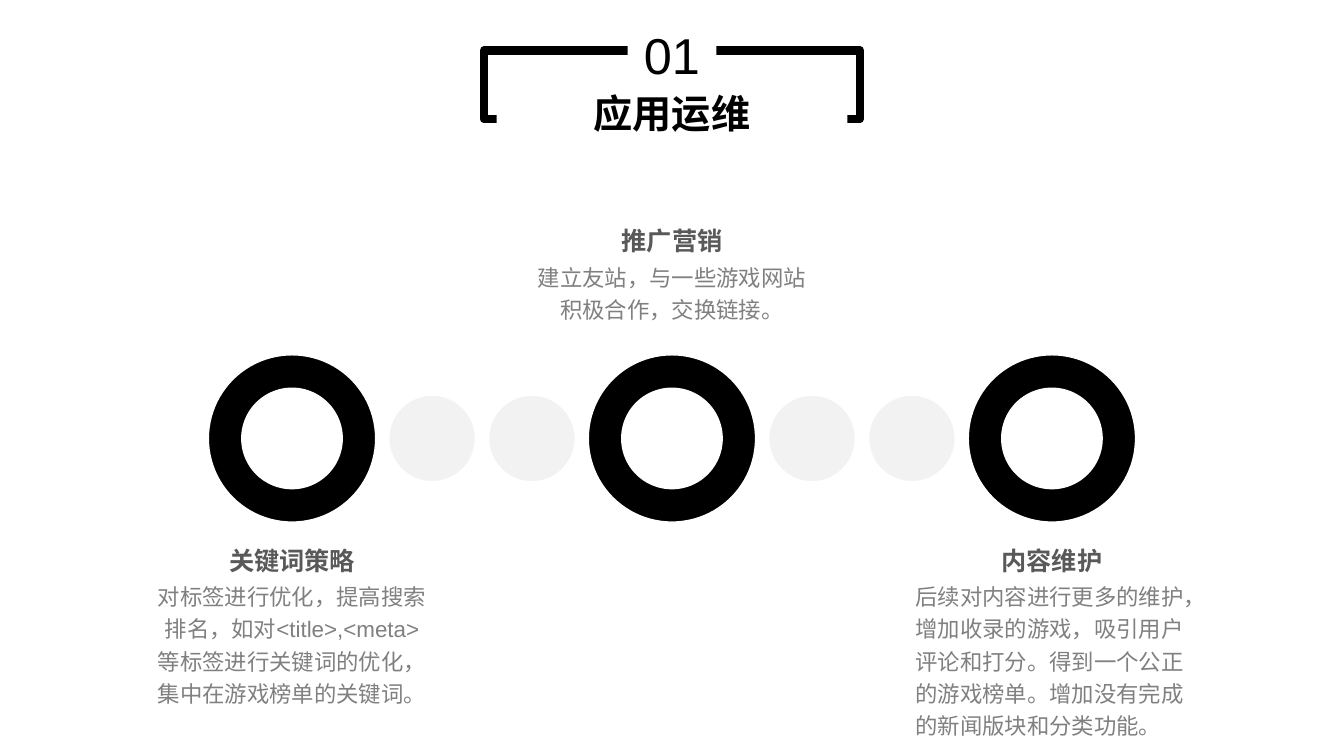
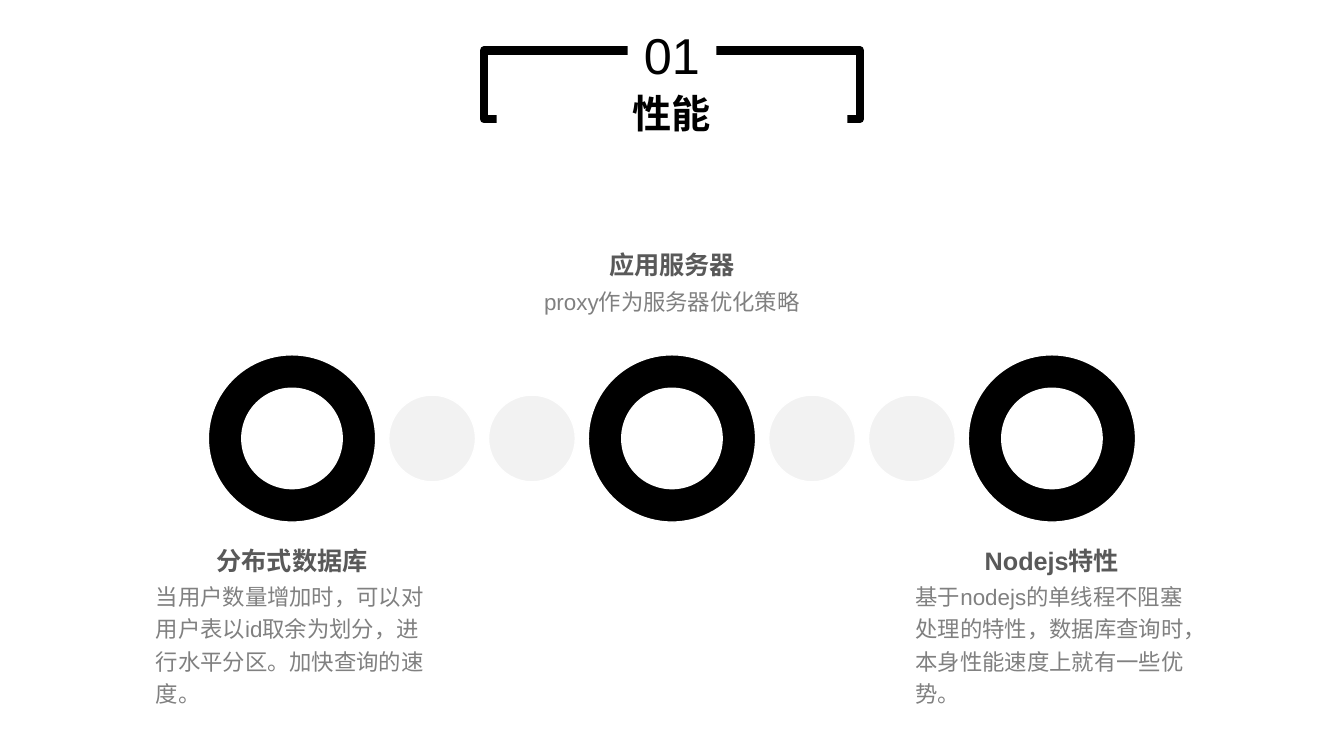
import pptx
import pptx.dml.color
import pptx.enum.shapes
import pptx.enum.text
import pptx.util

Pt = pptx.util.Pt
ShapeType = pptx.enum.shapes.MSO_SHAPE
Align = pptx.enum.text.PP_ALIGN
Anchor = pptx.enum.text.MSO_ANCHOR

COLORS = {
    "ink": "000000",
    "paper": "FFFFFF",
    "dot": "F2F2F2",
    "heading": "595959",
    "body": "808080",
}
FONTS = {
    "number": {"name": "Arial", "size": Pt(36), "bold": False},
    "title": {"name": "Arial", "size": Pt(28), "bold": True},
    "heading": {"name": "Arial", "size": Pt(18), "bold": True},
    "body": {"name": "Arial", "size": Pt(16), "bold": False},
}
FRAME_FORMAT = {
    "word_wrap": True,
    "auto_size": pptx.enum.text.MSO_AUTO_SIZE.NONE,
    "margin_left": Pt(7.2),
    "margin_right": Pt(7.2),
    "margin_top": Pt(3.6),
    "margin_bottom": Pt(3.6),
}

SLIDE_WIDTH, SLIDE_HEIGHT = 960, 540
CENTER = SLIDE_WIDTH / 2
RING, DOT, GAP = 119.5, 62, 9.3
CIRCLES = ["ring", "dot", "dot", "ring", "dot", "dot", "ring"]
CIRCLE_MIDDLE = 313.2
RING_PITCH = RING + 2 * DOT + 3 * GAP
LOWER_TOP = 381.6

SLIDES = [
    ("01", "应用运维", [
        (-1, LOWER_TOP, "关键词策略", Align.CENTER, 4,
         "对标签进行优化，提高搜索排名，如对<title>,<meta>等标签进行关键词的优化，集中在游戏榜单的关键词。"),
        (1, LOWER_TOP, "内容维护", Align.LEFT, 5,
         "后续对内容进行更多的维护，增加收录的游戏，吸引用户评论和打分。得到一个公正的游戏榜单。增加没有完成的新闻版块和分类功能。"),
        (0, 153.4, "推广营销", Align.CENTER, 2,
         "建立友站，与一些游戏网站积极合作，交换链接。"),
    ]),
    ("01", "性能", [
        (-1, LOWER_TOP, "分布式数据库", Align.LEFT, 4,
         "当用户数量增加时，可以对用户表以id取余为划分，进行水平分区。加快查询的速度。"),
        (1, LOWER_TOP, "Nodejs特性", Align.LEFT, 4,
         "基于nodejs的单线程不阻塞处理的特性，数据库查询时，本身性能速度上就有一些优势。"),
        (0, 170.6, "应用服务器", Align.CENTER, 1,
         "proxy作为服务器优化策略"),
    ]),
]


def rgb(name):
    return pptx.dml.color.RGBColor.from_string(COLORS[name])


def apply_format(target, values):
    for name, value in values.items():
        setattr(target, name, value)


def place(shape, center, top, width, height):
    apply_format(shape, {
        "left": Pt(center - width / 2),
        "top": Pt(top),
        "width": Pt(width),
        "height": Pt(height),
    })


def fill_shape(shape, color):
    shape.fill.solid()
    shape.fill.fore_color.rgb = rgb(color)


def write_text(shape, text, style, color, align=Align.CENTER,
               anchor=Anchor.MIDDLE, spacing=1.0):
    frame = shape.text_frame
    apply_format(frame, FRAME_FORMAT)
    frame.vertical_anchor = anchor
    paragraph = frame.paragraphs[0]
    apply_format(paragraph, {"alignment": align, "line_spacing": spacing})
    run = paragraph.add_run()
    run.text = text
    apply_format(run.font, FONTS[style])
    run.font.color.rgb = rgb(color)


def add_preset(slide, kind, center, top, width, height):
    shape = slide.shapes.add_shape(kind, 0, 0, 0, 0)
    place(shape, center, top, width, height)
    shape.shadow.inherit = False
    return shape


def add_title(slide, number, text):
    bracket = add_preset(slide, ShapeType.RECTANGLE, CENTER, 36, 268.6, 49)
    bracket.fill.background()
    bracket.line.color.rgb = rgb("ink")
    bracket.line.width = Pt(6)

    badge = add_preset(slide, ShapeType.RECTANGLE, CENTER, 13, 63.4, 51)
    fill_shape(badge, "paper")
    badge.line.fill.background()
    write_text(badge, number, "number", "ink")

    title = slide.shapes.title
    place(title, CENTER, 59.8, 250.6, 41)
    fill_shape(title, "paper")
    write_text(title, text, "title", "ink")
    badge.element.addnext(title.element)


def add_circles(slide):
    left = CENTER - RING_PITCH - RING / 2
    for kind in CIRCLES:
        is_ring = kind == "ring"
        size = RING if is_ring else DOT
        preset = ShapeType.DONUT if is_ring else ShapeType.OVAL
        circle = add_preset(slide, preset, left + size / 2,
                            CIRCLE_MIDDLE - size / 2, size, size)
        if is_ring:
            circle.adjustments[0] = 0.2
        fill_shape(circle, "ink" if is_ring else "dot")
        circle.line.color.rgb = rgb("paper")
        circle.line.width = Pt(1)
        left += size + GAP


def add_text(slide, text, style, center, top, width, height, align):
    box = slide.shapes.add_textbox(0, 0, 0, 0)
    place(box, center, top, width, height)
    write_text(box, text, style, style, align, Anchor.TOP, 1.2)


def add_caption(slide, column, top, heading, align, lines, body):
    center = CENTER + column * RING_PITCH
    add_text(slide, body, "body", center, top + 27.6, 208.8,
             6 + 23 * lines, align)
    add_text(slide, heading, "heading", center, top, 176.4, 31, Align.CENTER)


def main():
    presentation = pptx.Presentation()
    presentation.slide_width = Pt(SLIDE_WIDTH)
    presentation.slide_height = Pt(SLIDE_HEIGHT)
    for number, title, captions in SLIDES:
        slide = presentation.slides.add_slide(presentation.slide_layouts[5])
        add_title(slide, number, title)
        add_circles(slide)
        for caption in captions:
            add_caption(slide, *caption)
    presentation.save("out.pptx")


if __name__ == "__main__":
    main()
